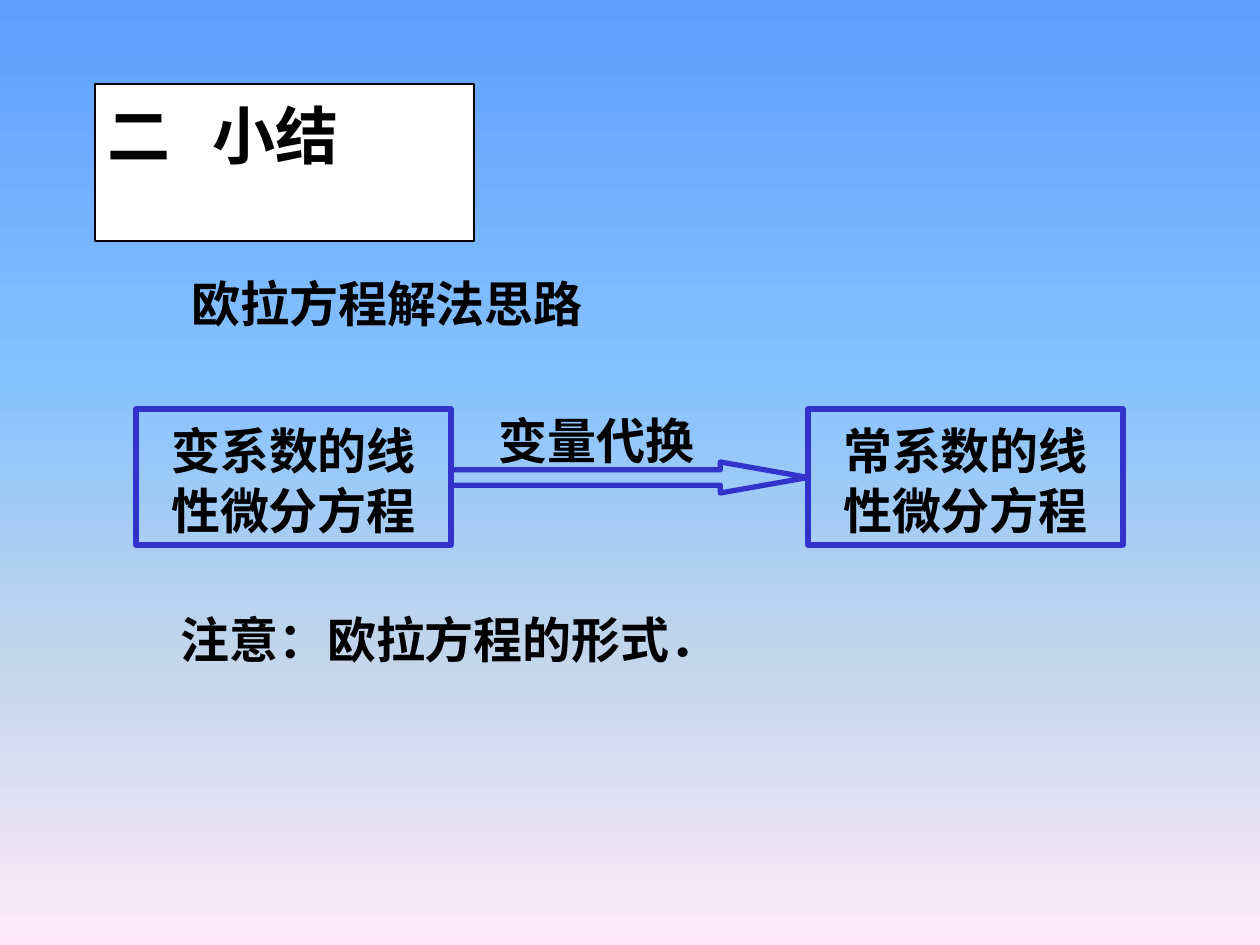
from dataclasses import dataclass

from lxml.etree import SubElement
from pptx import Presentation
from pptx.dml.color import RGBColor
from pptx.enum.shapes import MSO_SHAPE as Preset
from pptx.enum.text import MSO_ANCHOR as Anchor, MSO_AUTO_SIZE as AutoSize, PP_ALIGN as Align
from pptx.oxml.ns import qn
from pptx.util import Emu, Pt

PX_PER_INCH = 126
BLACK, WHITE, BLUE = "000000", "FFFFFF", "3333CC"
CJK_FONT, LATIN_FONT = "Noto Sans CJK SC", "Times New Roman"
SKY = [(0, "5E9EFF"), (40, "85C2FF"), (70, "C4D6EB"), (100, "FFEBFA")]


@dataclass
class Area:
    left: int
    top: int
    width: int
    height: int


@dataclass
class Label:
    text: str
    area: Area


CAPTIONS = [
    Label("欧拉方程解法思路", Area(179, 262, 546, 72)),
    Label("变量代换", Area(486, 399, 325, 72)),
    Label("注意：欧拉方程的形式．", Area(168, 598, 829, 72)),
]
EQUATIONS = [
    Label("变系数的线性微分方程", Area(136, 409, 315, 136)),
    Label("常系数的线性微分方程", Area(808, 409, 315, 136)),
]
ARROW = Area(451, 462, 357, 31)
TITLE = Label("二\t小结", Area(95, 84, 379, 157))
TITLE_TAB = 105


def px(length: int) -> Emu:
    return Emu(round(length * 914400 / PX_PER_INCH))


def color(value: str) -> RGBColor:
    return RGBColor.from_string(value)


def bounds(area: Area) -> tuple:
    return px(area.left), px(area.top), px(area.width), px(area.height)


def paint_background(page) -> None:
    fill = page.background.fill
    fill.gradient()
    fill.gradient_angle = 270
    stops = next(page.element.iter(qn("a:gsLst")))
    for stop in list(stops):
        stops.remove(stop)
    for percent, value in SKY:
        stop = SubElement(stops, qn("a:gs"), pos=str(percent * 1000))
        SubElement(stop, qn("a:srgbClr"), val=value)


def write(box, text: str, size: int, latin: str, spacing: float, inset: int,
          align: Align = Align.LEFT, tab: int = 0) -> None:
    frame = box.text_frame
    frame.word_wrap = True
    frame.auto_size = AutoSize.NONE
    frame.vertical_anchor = Anchor.TOP
    frame.margin_top = px(inset)
    frame.text = text
    para = frame.paragraphs[0]
    if tab:
        tabs = SubElement(para._p.get_or_add_pPr(), qn("a:tabLst"))
        SubElement(tabs, qn("a:tab"), pos=str(px(tab)), algn="l")
    para.alignment = align
    para.line_spacing = Pt(spacing)
    para.space_before = Pt(0)
    font = para.font
    font.size = Pt(size)
    font.bold = True
    font.color.rgb = color(BLACK)
    font.name = latin
    SubElement(font._element, qn("a:ea"), typeface=CJK_FONT)


def write_body(box, text: str, align: Align = Align.LEFT) -> None:
    write(box, text, 28, LATIN_FONT, 34.3, 10, align)


def add_title(page, label: Label) -> None:
    title = page.shapes.title
    title.left, title.top, title.width, title.height = bounds(label.area)
    title.fill.solid()
    title.fill.fore_color.rgb = color(WHITE)
    title.line.color.rgb = color(BLACK)
    title.line.width = Pt(0.75)
    write(title, label.text, 36, CJK_FONT, 47, 6, tab=TITLE_TAB)


def add_outline(page, preset: Preset, area: Area):
    shape = page.shapes.add_shape(preset, *bounds(area))
    shape.shadow.inherit = False
    shape.fill.background()
    shape.line.color.rgb = color(BLUE)
    shape.line.width = Pt(3)
    return shape


def main() -> None:
    deck = Presentation()
    deck.slide_width, deck.slide_height = px(1260), px(945)
    page = deck.slides.add_slide(deck.slide_layouts[5])
    paint_background(page)
    add_title(page, TITLE)
    for label in EQUATIONS:
        write_body(add_outline(page, Preset.RECTANGLE, label.area), label.text, Align.CENTER)
    arrow = add_outline(page, Preset.RIGHT_ARROW, ARROW)
    arrow.adjustments[0], arrow.adjustments[1] = 0.5, 2.83
    for label in CAPTIONS:
        write_body(page.shapes.add_textbox(*bounds(label.area)), label.text)
    deck.save("out.pptx")


if __name__ == "__main__":
    main()
